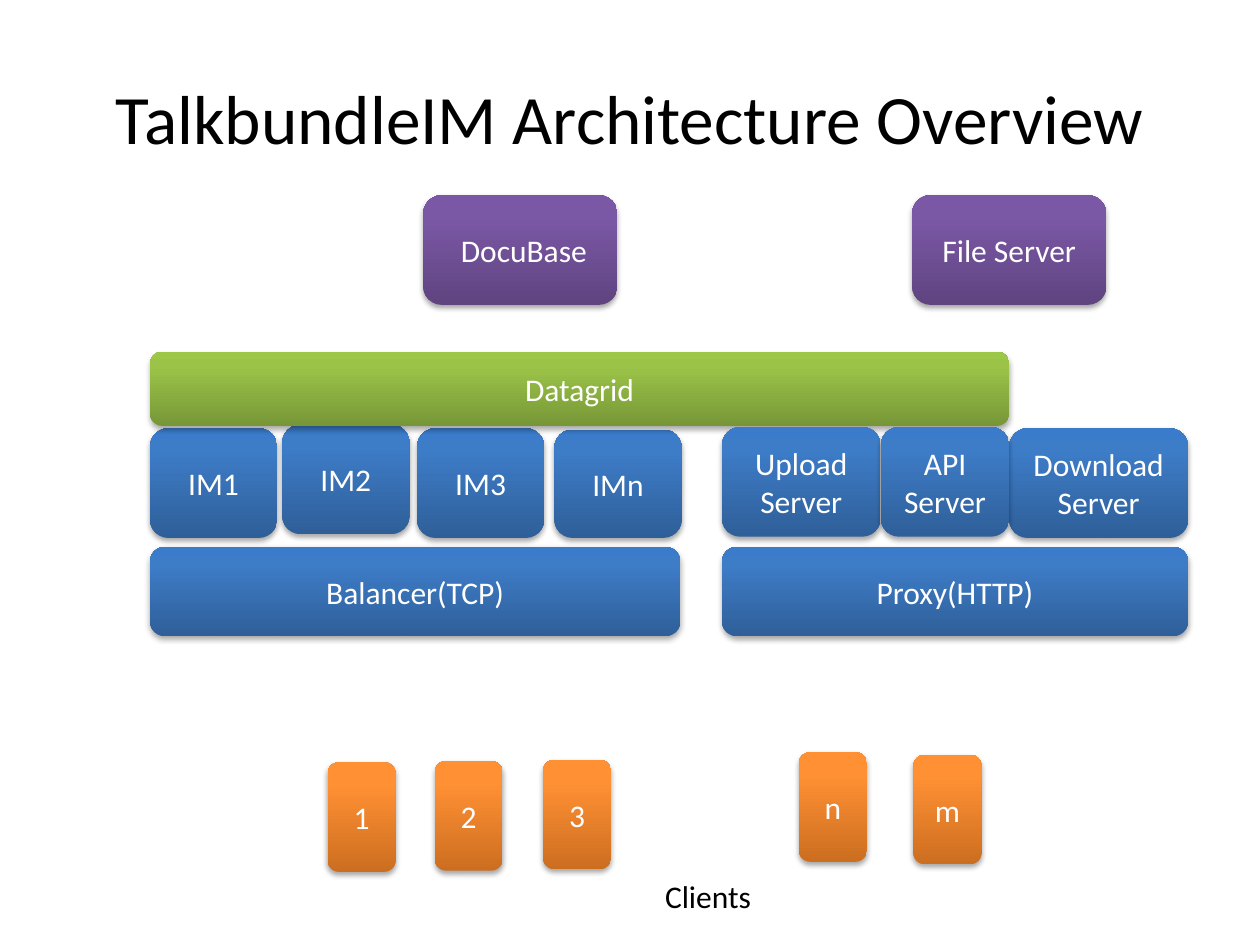
from lxml import etree
from pptx import Presentation
from pptx.dml.color import RGBColor
from pptx.enum.shapes import MSO_SHAPE
from pptx.enum.text import MSO_ANCHOR, PP_ALIGN
from pptx.oxml import parse_xml
from pptx.oxml.ns import nsdecls, qn
from pptx.util import Inches, Pt

ROUND_RECT = MSO_SHAPE.ROUNDED_RECTANGLE
MIDDLE, TOP = MSO_ANCHOR.MIDDLE, MSO_ANCHOR.TOP
CENTER, LEFT = PP_ALIGN.CENTER, PP_ALIGN.LEFT

# Theme: gradients run from the bottom edge to the top edge
THEME = {
    "font": "Calibri", "title": 39.6, "body": 18,
    "dark": "000000", "light": "FFFFFF",
    "service": ("2F5F99", "3D7CC7", "3A7CCB"),
    "client": ("CC6E20", "FF9034", "FF9136"),
    "storage": ("5F4480", "7B58A6", "7C57A8"),
    "cache": ("779737", "9BC348", "9DC746"),
}
STOPS = (0, 80000, 100000)

# Grid: outer edges of the two server groups, shared rows and sizes
IM_LEFT, IM_RIGHT = 1.19, 5.4
WEB_LEFT, API_LEFT, API_RIGHT, WEB_RIGHT = 5.73, 6.99, 8.01, 9.43
STORE_Y, CACHE_Y, SERVER_Y, PROXY_Y = 1.55, 2.79, 3.4, 4.34
BOX_H, PROXY_H, CACHE_H = 0.87, 0.71, 0.59
IM_W, STORE_W, CLIENT_W = 1.01, 1.54, 0.54

prs = Presentation()
prs.slide_width, prs.slide_height = Inches(10), Inches(7.5)
s = prs.slides.add_slide(prs.slide_layouts[6])


def write(sp, text, size, color, align=CENTER, anchor=MIDDLE):
    tf = sp.text_frame
    tf.word_wrap = True
    tf.vertical_anchor = anchor
    p = tf.paragraphs[0]
    p.alignment = align
    r = p.add_run()
    r.text = text
    r.font.name, r.font.size = THEME["font"], Pt(size)
    r.font.color.rgb = RGBColor.from_string(color)


def add_box(text, kind, x, y, w, h=BOX_H):
    sp = s.shapes.add_shape(ROUND_RECT, *map(Inches, (x, y, w, h)))
    sp.line.fill.background()
    # Three-stop gradient
    sp.fill.gradient()
    grad = sp._element.spPr.find(qn("a:gradFill"))
    stops = grad.find(qn("a:gsLst"))
    for stop in list(stops):
        stops.remove(stop)
    for pos, color in zip(STOPS, THEME[kind]):
        stop = etree.SubElement(stops, qn("a:gs"), pos=str(pos))
        etree.SubElement(stop, qn("a:srgbClr"), val=color)
    grad.find(qn("a:lin")).set("ang", "16200000")
    # Soft shadow below
    sp.shadow.inherit = False
    sp._element.spPr.find(qn("a:effectLst")).append(parse_xml(
        f'<a:outerShdw {nsdecls("a")} blurRad="40000" dist="23000" '
        'dir="5400000" rotWithShape="0"><a:srgbClr val="000000">'
        '<a:alpha val="35000"/></a:srgbClr></a:outerShdw>'))
    write(sp, text, THEME["body"], THEME["light"])


# Title and client caption
for text, size, box, align, anchor in (
    ("TalkbundleIM Architecture Overview", THEME["title"],
     (0.5, 0.3, 9, 1.25), CENTER, MIDDLE),
    ("Clients", THEME["body"], (5.18, 6.91, 1.1, 0.71), LEFT, TOP),
):
    sp = s.shapes.add_textbox(*map(Inches, box))
    write(sp, text, size, THEME["dark"], align, anchor)

# Clients
for text, x, y in (("1", 2.6, 6.05), ("2", 3.45, 6.04), ("3", 4.31, 6.03),
                   ("m", 7.25, 5.99), ("n", 6.34, 5.97)):
    add_box(text, "client", x, y, CLIENT_W)

# Proxies
for text, left, right in (("Balancer(TCP)", IM_LEFT, IM_RIGHT),
                          ("Proxy(HTTP)", WEB_LEFT, WEB_RIGHT)):
    add_box(text, "service", left, PROXY_Y, right - left, PROXY_H)

# Messaging servers
for text, x, y, h in (("IM1", IM_LEFT, SERVER_Y, BOX_H),
                      ("IM2", 2.24, 3.37, BOX_H),
                      ("IM3", 3.31, SERVER_Y, BOX_H),
                      ("IMn", 4.4, 3.41, 0.86)):
    add_box(text, "service", x, y, IM_W, h)

# Shared cache above the servers
add_box("Datagrid", "cache", IM_LEFT, CACHE_Y, API_RIGHT - IM_LEFT, CACHE_H)

# Web servers
for text, left, right, y in (
    ("Upload Server", WEB_LEFT, API_LEFT, 3.39),
    ("Download Server", API_RIGHT, WEB_RIGHT, SERVER_Y),
    ("API Server", API_LEFT, API_RIGHT, 3.39),
):
    add_box(text, "service", left, y, right - left)

# Storage
for text, x in ((" DocuBase", 3.36), ("File Server", 7.24)):
    add_box(text, "storage", x, STORE_Y, STORE_W)

prs.save("out.pptx")
